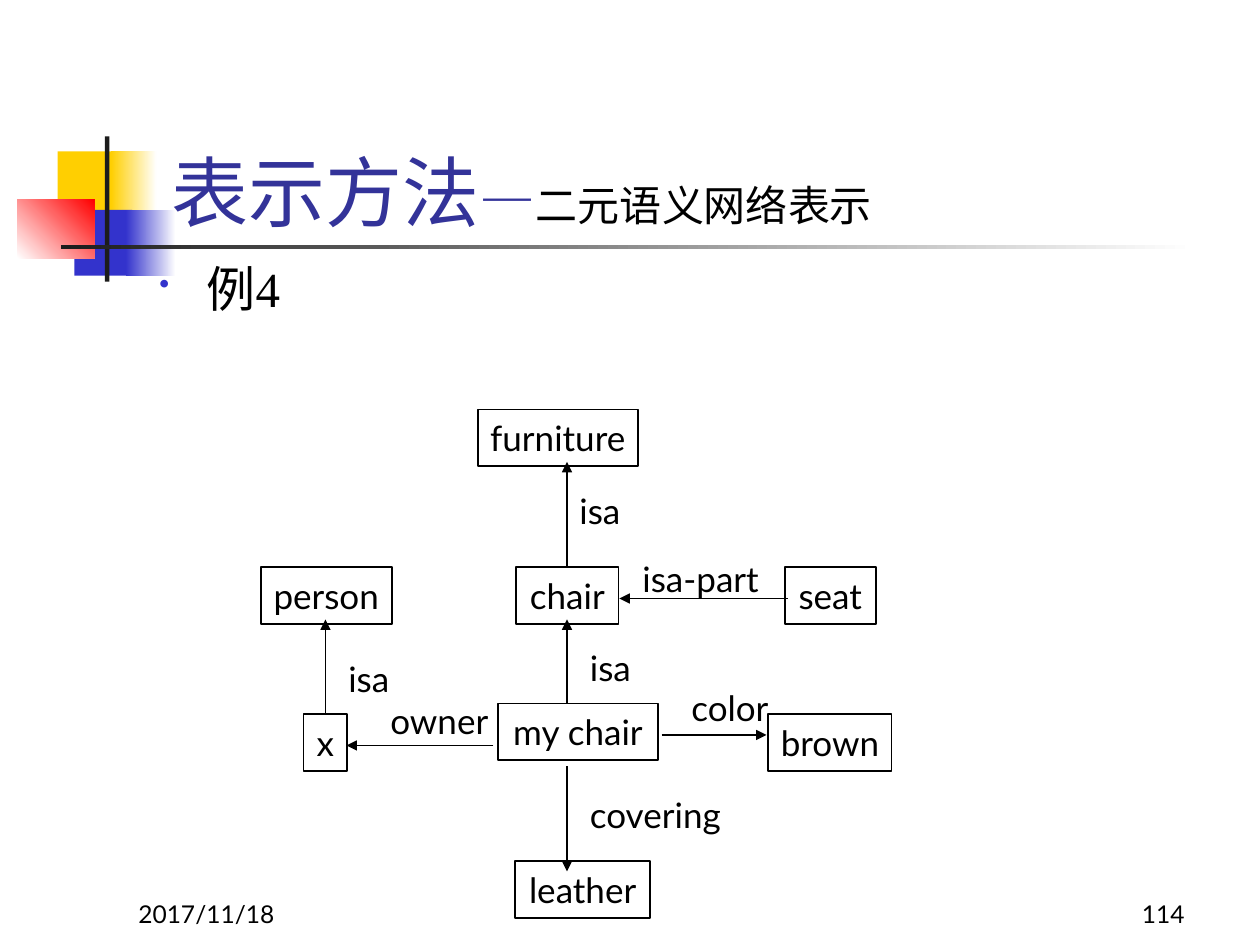
from lxml.etree import SubElement
from pptx import Presentation
from pptx.dml.color import RGBColor
from pptx.enum.shapes import MSO_CONNECTOR, MSO_SHAPE
from pptx.enum.text import MSO_ANCHOR as Anchor, PP_ALIGN as Align
from pptx.oxml.ns import qn
from pptx.util import Pt

BLACK = RGBColor(0x00, 0x00, 0x00)
WHITE = RGBColor(0xFF, 0xFF, 0xFF)
CHARCOAL = RGBColor(0x1C, 0x1C, 0x1C)
YELLOW = RGBColor(0xFF, 0xCF, 0x01)
BLUE = RGBColor(0x33, 0x33, 0xCC)
RED = RGBColor(0xFF, 0x00, 0x00)
NAVY = RGBColor(0x33, 0x33, 0x99)

NODE_HEIGHT = 32.5
LABEL_HEIGHT = 31

# name: left, top, width within the network
NODES = {
    "furniture": (124, 0, 91.5),
    "my chair": (135.5, 168, 91.5),
    "chair": (146, 90, 58.5),
    "person": (0, 90, 75),
    "seat": (299.5, 90, 52),
    "x": (24.5, 174, 25),
    "brown": (290, 174, 70.5),
    "leather": (145.5, 258, 77),
}

# relation: tail point, arrow point, label left, top, width
RELATIONS = [
    ("isa", (175, 90), (175, 30), (175, 42, 54)),
    ("isa-part", (301, 108), (205, 108), (211, 81, 96)),
    ("isa", (37, 174), (37, 120), (43, 138, 42)),
    ("color", (229, 186), (289, 186), (239, 155, 66)),
    ("covering", (175, 204), (175, 264), (181, 216, 126)),
    ("owner", (133, 192), (49, 192), (67, 162, 72)),
    ("isa", (175, 168), (175, 120), (181, 132, 54)),
]


def write_text(shape, runs, font="Lato", align=Align.LEFT, anchor=Anchor.TOP,
               wrap=True, bullet=None):
    """Fill a shape with one paragraph; runs are (text, size, colour)."""
    frame = shape.text_frame
    frame.word_wrap = wrap
    frame.vertical_anchor = anchor
    paragraph = frame.paragraphs[0]
    paragraph.alignment = align
    if bullet:
        add_bullet(paragraph, **bullet)
    for text, size, color in runs:
        run = paragraph.add_run()
        run.text = text
        run.font.name = font
        run.font.size = Pt(size)
        run.font.color.rgb = color


def add_bullet(paragraph, char, color, percent, indent):
    properties = paragraph._p.get_or_add_pPr()
    properties.set("marL", str(Pt(indent)))
    properties.set("indent", str(-Pt(indent)))
    bullet_color = SubElement(properties, qn("a:buClr"))
    SubElement(bullet_color, qn("a:srgbClr"), val=str(color))
    SubElement(properties, qn("a:buSzPct"), val=str(percent * 1000))
    SubElement(properties, qn("a:buChar"), char=char)


def add_textbox(slide, left, top, width, height, runs, **style):
    box = slide.shapes.add_textbox(Pt(left), Pt(top), Pt(width), Pt(height))
    write_text(box, runs, **style)


def add_rectangle(slide, left, top, width, height):
    rectangle = slide.shapes.add_shape(
        MSO_SHAPE.RECTANGLE, Pt(left), Pt(top), Pt(width), Pt(height))
    rectangle.shadow.inherit = False
    return rectangle


def add_block(slide, left, top, width, height, start, end=None, angle=0):
    """Borderless rectangle, plain or fading from start to end."""
    block = add_rectangle(slide, left, top, width, height)
    block.line.fill.background()
    if end is None:
        block.fill.solid()
        block.fill.fore_color.rgb = start
        return
    block.fill.gradient()
    block.fill.gradient_angle = angle
    for stop, color, position in zip(block.fill.gradient_stops, (start, end), (0, 1)):
        stop.color.rgb = color
        stop.position = position


def add_arrow(slide, tail, tip):
    arrow = slide.shapes.add_connector(
        MSO_CONNECTOR.STRAIGHT, *(Pt(value) for value in (*tail, *tip)))
    arrow.line.color.rgb = BLACK
    arrow.line.width = Pt(1)
    SubElement(arrow.line._get_or_add_ln(), qn("a:tailEnd"), type="triangle")
    SubElement(arrow._element.spPr, qn("a:effectLst"))


def add_ornament(slide, left, top):
    add_block(slide, left + 23, top + 8.5, 34.5, 37.5, YELLOW)
    add_block(slide, left + 53.5, top + 8.5, 26, 37.5, YELLOW, WHITE)
    add_block(slide, left + 32.5, top + 42, 33, 37.5, BLUE)
    add_block(slide, left + 62, top + 42, 28.5, 37.5, BLUE, WHITE)
    add_block(slide, left, top + 36, 44, 33.5, WHITE, RED, angle=45)
    add_block(slide, left + 50, top, 2.5, 83, CHARCOAL)
    add_block(slide, left + 25, top + 62, 648, 2.5, CHARCOAL, WHITE)


def add_heading(slide, left, top, width, height):
    runs = [("表示方法", 44, NAVY), ("—", 32, NAVY), ("二元语义网络表示", 24, BLACK)]
    add_textbox(slide, left, top, width, height, runs, anchor=Anchor.BOTTOM)


def add_example(slide, left, top, width, height):
    add_textbox(slide, left, top, width, height, [("例4", 28, BLACK)],
                font="Times New Roman",
                bullet=dict(char="•", color=BLUE, percent=60, indent=27))


def add_network(slide, left, top):
    for name, (x, y, width) in NODES.items():
        node = add_rectangle(slide, left + x, top + y, width, NODE_HEIGHT)
        node.fill.background()
        node.line.color.rgb = BLACK
        node.line.width = Pt(1)
        write_text(node, [(name, 20, BLACK)], align=Align.CENTER,
                   anchor=Anchor.MIDDLE, wrap=False)
    for relation, tail, tip, (x, y, width) in RELATIONS:
        add_arrow(slide, *((left + px, top + py) for px, py in (tail, tip)))
        add_textbox(slide, left + x, top + y, width, LABEL_HEIGHT,
                    [(relation, 20, BLACK)])


def add_footer(slide, left, top, width, height):
    field_width = 150
    add_textbox(slide, left, top, field_width, height,
                [("2017/11/18", 14, BLACK)], anchor=Anchor.BOTTOM)
    add_textbox(slide, left + width - field_width, top, field_width, height,
                [("114", 14, BLACK)], align=Align.RIGHT, anchor=Anchor.BOTTOM)


def main():
    presentation = Presentation()
    presentation.slide_width = Pt(720)
    presentation.slide_height = Pt(540)
    slide = presentation.slides.add_slide(presentation.slide_layouts[6])
    add_ornament(slide, 10, 78)
    add_footer(slide, 72, 498, 612, 36)
    add_heading(slide, 91, 49, 613.5, 90)
    add_example(slide, 84, 144, 132, 45)
    add_network(slide, 149, 234)
    presentation.save("out.pptx")


if __name__ == "__main__":
    main()
